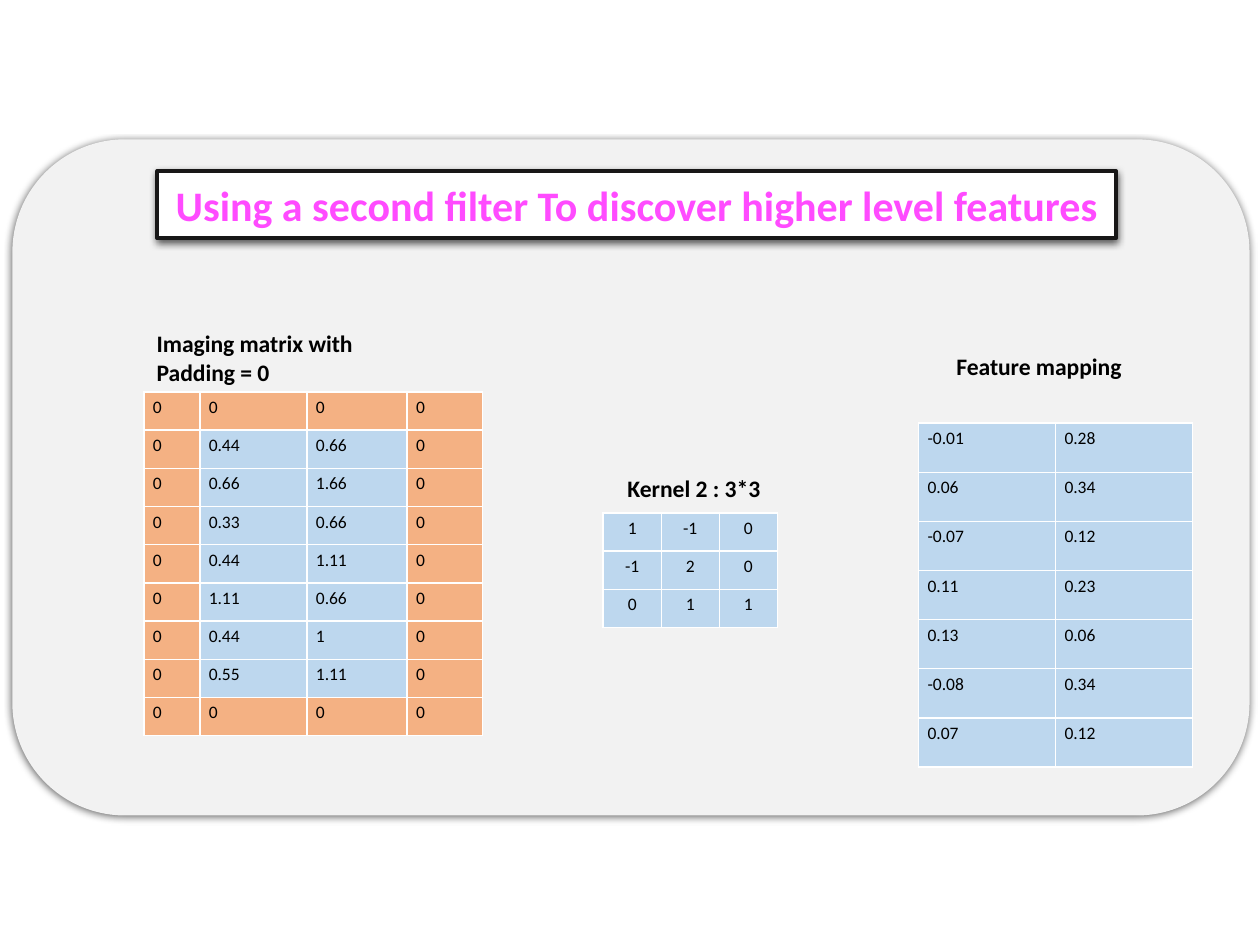
from lxml import etree
from pptx import Presentation
from pptx.dml.color import RGBColor
from pptx.enum import shapes, text
from pptx.oxml import parse_xml
from pptx.oxml.ns import nsdecls, qn
from pptx.util import Cm, Pt

WHITE = RGBColor(0xFF, 0xFF, 0xFF)
BLACK = RGBColor(0, 0, 0)
PANEL = RGBColor(0xF2, 0xF2, 0xF2)
FRAME = RGBColor(0x18, 0x17, 0x17)
PINK = RGBColor(0xFF, 0x4B, 0xFF)
BLUE = RGBColor(0xBD, 0xD7, 0xEE)
ORANGE = RGBColor(0xF4, 0xB1, 0x83)

LEFT, CENTER = text.PP_ALIGN.LEFT, text.PP_ALIGN.CENTER

INNER = [(0.44, 0.66), (0.66, 1.66), (0.33, 0.66), (0.44, 1.11),
         (1.11, 0.66), (0.44, 1), (0.55, 1.11)]
PADDED = [(0,) * 4] + [(0, *pair, 0) for pair in INNER] + [(0,) * 4]
KERNEL = [(1, -1, 0), (-1, 2, 0), (0, 1, 1)]
FEATURES = [(-0.01, 0.28), (0.06, 0.34), (-0.07, 0.12), (0.11, 0.23),
            (0.13, 0.06), (-0.08, 0.34), (0.07, 0.12)]


def set_font(p, size, color=BLACK, bold=False):
    fmt = {"name": "Calibri", "size": Pt(size), "bold": bold}
    for r in p.runs:
        for name, value in fmt.items():
            setattr(r.font, name, value)
        r.font.color.rgb = color


def add_shadow(sp):
    sp._element.spPr.append(parse_xml(
        f'<a:effectLst {nsdecls("a")}>'
        f'<a:outerShdw blurRad="{Pt(4.5)}" dist="{Pt(1.5)}" dir="5400000" '
        'algn="ctr" rotWithShape="0"><a:srgbClr val="000000">'
        '<a:alpha val="63000"/></a:srgbClr></a:outerShdw></a:effectLst>'))


def add_panel(s):
    sp = s.shapes.add_shape(shapes.MSO_SHAPE.ROUNDED_RECTANGLE,
                            Cm(0.25), Cm(2.81), Cm(24.94), Cm(13.63))
    sp.fill.solid()
    sp.fill.fore_color.rgb = PANEL
    sp.line.fill.background()
    add_shadow(sp)


def add_title(s, words):
    sp = s.shapes.title
    box = {"left": Cm(3.17), "top": Cm(3.45),
           "width": Cm(19.33), "height": Cm(1.35)}
    for name, value in box.items():
        setattr(sp, name, value)
    sp.fill.solid()
    sp.fill.fore_color.rgb = WHITE
    sp.line.color.rgb = FRAME
    sp.line.width = Pt(2.25)
    add_shadow(sp)
    tf = sp.text_frame
    tf.text = words
    tf.auto_size = text.MSO_AUTO_SIZE.NONE
    tf.vertical_anchor = text.MSO_ANCHOR.MIDDLE
    tf.paragraphs[0].alignment = CENTER
    set_font(tf.paragraphs[0], 24, PINK, True)
    s.shapes._spTree.append(sp._element)  # bring in front of the panel


def add_caption(s, words, left, top, width, height):
    sp = s.shapes.add_textbox(Cm(left), Cm(top), Cm(width), Cm(height))
    tf = sp.text_frame
    tf.word_wrap = True
    tf.auto_size = text.MSO_AUTO_SIZE.SHAPE_TO_FIT_TEXT
    tf.text = words
    for p in tf.paragraphs:
        p.alignment = LEFT
        set_font(p, 13.5, bold=True)


def add_borders(cell):
    tcPr = cell._tc.get_or_add_tcPr()
    for side in ("lnL", "lnR", "lnT", "lnB"):
        ln = etree.SubElement(tcPr, qn(f"a:{side}"), w=str(Pt(1)))
        fill = etree.SubElement(ln, qn("a:solidFill"))
        etree.SubElement(fill, qn("a:srgbClr"), val=str(WHITE))


def format_cell(cell, value, color, align):
    margins = {"margin_left": 0.18, "margin_right": 0.18,
               "margin_top": 0.1, "margin_bottom": 0.1}
    for name, length in margins.items():
        setattr(cell, name, Cm(length))
    add_borders(cell)
    cell.fill.solid()
    cell.fill.fore_color.rgb = color
    cell.text = str(value)
    p = cell.text_frame.paragraphs[0]
    p.alignment = align
    set_font(p, 10)


def add_matrix(s, rows, left, top, widths, row_height, align=LEFT,
               padded=False):
    """Draw a grid of numbers; a padded one has an orange outer ring."""
    n, m = len(rows), len(widths)
    table = s.shapes.add_table(n, m, Cm(left), Cm(top), Cm(sum(widths)),
                               Cm(n * row_height)).table
    table.first_row = table.horz_banding = False
    for col, width in zip(table.columns, widths):
        col.width = Cm(width)
    for i, values in enumerate(rows):
        table.rows[i].height = Cm(row_height)
        for j, value in enumerate(values):
            on_ring = i in (0, n - 1) or j in (0, m - 1)
            color = ORANGE if padded and on_ring else BLUE
            format_cell(table.cell(i, j), value, color, align)


def main():
    prs = Presentation()
    prs.slide_width, prs.slide_height = Cm(25.4), Cm(19.05)
    s = prs.slides.add_slide(prs.slide_layouts[5])
    add_panel(s)
    add_matrix(s, PADDED, 2.9, 7.9, [1.13, 2.16, 2.02, 1.52], 0.77,
               padded=True)
    add_matrix(s, KERNEL, 12.16, 10.34, [1.17] * 3, 0.77, CENTER)
    add_caption(s, "Kernel 2 : 3*3", 12.4, 9.42, 3.45, 0.84)
    add_caption(s, "Imaging matrix with\nPadding = 0", 2.91, 6.51, 6.68, 1.42)
    add_matrix(s, FEATURES, 18.52, 8.53, [2.76] * 2, 0.99)
    add_caption(s, "Feature mapping", 19.03, 6.96, 4.06, 0.84)
    add_title(s, "Using a second filter To discover higher level features")
    prs.save("out.pptx")


if __name__ == "__main__":
    main()
